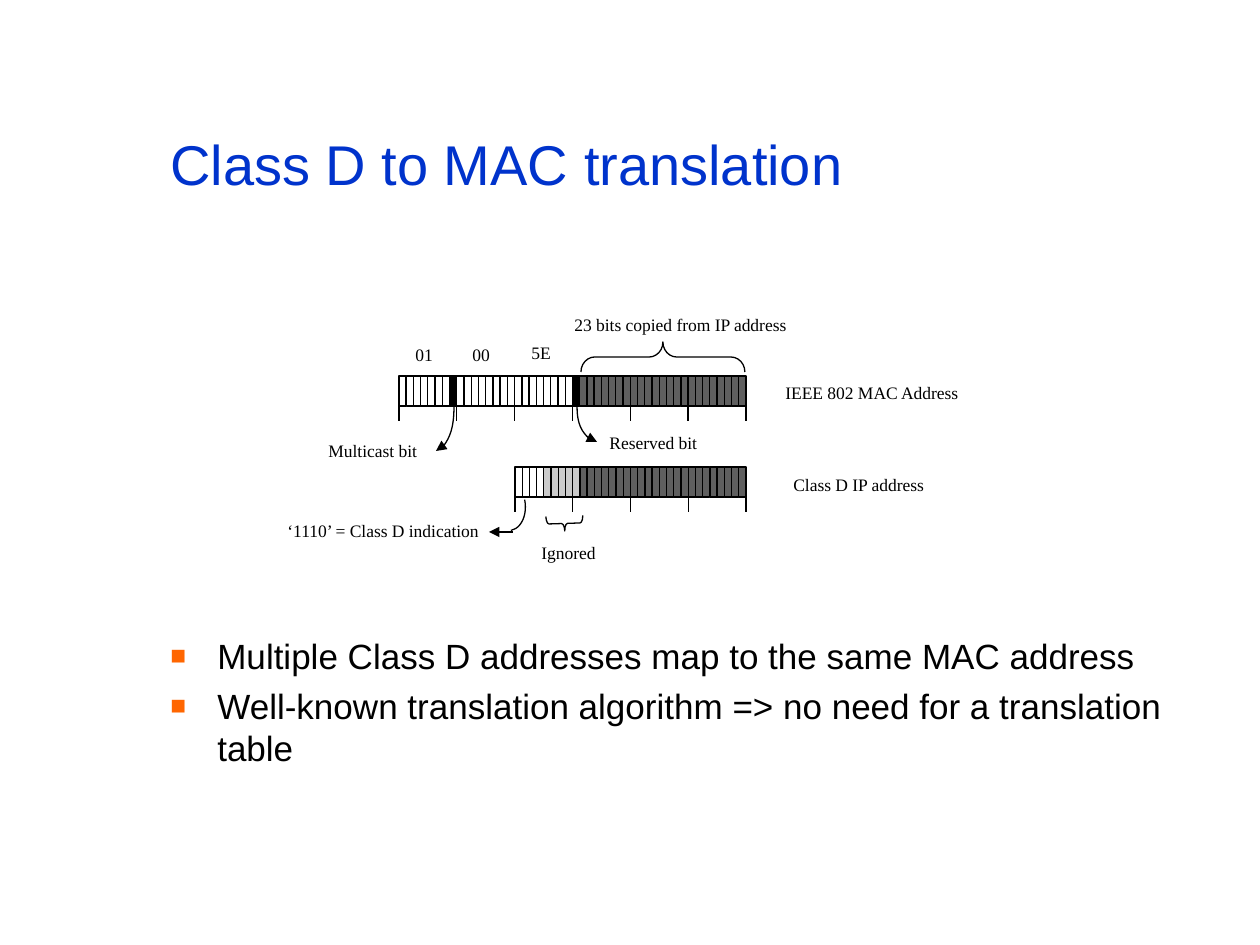
from lxml import etree
from pptx import Presentation
from pptx import util as u
from pptx.dml.color import RGBColor
from pptx.enum import shapes, text
from pptx.oxml.ns import qn

SCALE = 914400 / 126
BLACK, DARK, LIGHT = "000000", "5F5F5F", "CBCBCB"
LABEL = {"name": "Times New Roman", "size": u.Pt(10)}
TITLE = {"name": "Arial", "size": u.Pt(32)}
BODY = {"name": "Arial", "size": u.Pt(20)}
BULLET_PARAGRAPH = {"space_before": u.Pt(5), "line_spacing": u.Pt(24)}


def px(n):
    return u.Emu(round(n * SCALE))


def rgb(value):
    return RGBColor.from_string(value)


def apply(target, values):
    for key, value in values.items():
        setattr(target, key, value)


class Canvas:
    line_width = u.Pt(0.75)

    def __init__(self, s):
        self.s = s

    def stroke(self, sp):
        sp.line.color.rgb = rgb(BLACK)
        sp.line.width = self.line_width

    def shape(self, kind, x, y, w, h, fill=None, rotation=0, adjust=()):
        sp = self.s.shapes.add_shape(kind, px(x), px(y), px(w), px(h))
        sp.shadow.inherit = False
        sp.rotation = rotation
        if fill:
            sp.fill.solid()
            sp.fill.fore_color.rgb = rgb(fill)
        else:
            sp.fill.background()
        self.stroke(sp)
        for i, value in enumerate(adjust):
            sp.adjustments[i] = value
        return sp

    def bits(self, x, y, w, h, fills):
        pitch = w / len(fills)
        for i, fill in enumerate(fills):
            self.shape(shapes.MSO_SHAPE.RECTANGLE, x + i * pitch, y, pitch, h, fill)
        for i in range(0, len(fills) + 1, 8):
            tick = x + i * pitch
            self.line(tick, y + h, tick, y + h + 15)

    def line(self, x1, y1, x2, y2, arrow=False, kind=shapes.MSO_CONNECTOR.STRAIGHT):
        c = self.s.shapes.add_connector(kind, px(x1), px(y1), px(x2), px(y2))
        self.stroke(c)
        if arrow:
            etree.SubElement(c.line._get_or_add_ln(), qn("a:tailEnd"), type="triangle")
        etree.SubElement(c._element.spPr, qn("a:effectLst"))
        return c

    def curve(self, x1, y1, x2, y2):
        cx, cy = (x1 + x2) / 2, (y1 + y2) / 2
        side = 1 if x2 < x1 else -1
        a, b = side * (y2 - y1) / 2, abs(x2 - x1) / 2
        c = self.line(cx - a, cy - b, cx + a, cy + b, True, shapes.MSO_CONNECTOR.CURVE)
        spPr = c._element.spPr
        spPr.find(qn("a:prstGeom")).set("prst", "curvedConnector2")
        spPr.find(qn("a:xfrm")).set("rot", str((90 if side > 0 else 270) * 60000))

    def text(self, x, y, w, h, lines, font, color=BLACK, anchor=text.MSO_ANCHOR.TOP, bullet=None):
        tf = self.s.shapes.add_textbox(px(x), px(y), px(w), px(h)).text_frame
        apply(tf, {"word_wrap": True, "vertical_anchor": anchor})
        for i, line in enumerate(lines):
            p = tf.paragraphs[0] if i == 0 else tf.add_paragraph()
            if bullet:
                self.bullet(p, bullet)
                apply(p, BULLET_PARAGRAPH)
                if i == 0:
                    p.space_before = u.Pt(0)
            r = p.add_run()
            r.text = line
            apply(r.font, font)
            r.font.color.rgb = rgb(color)

    def bullet(self, p, color):
        pPr = p._p.get_or_add_pPr()
        indent = px(47)
        pPr.set("marL", str(indent))
        pPr.set("indent", str(-indent))
        clr = etree.SubElement(pPr, qn("a:buClr"))
        etree.SubElement(clr, qn("a:srgbClr"), val=color)
        etree.SubElement(pPr, qn("a:buSzPct"), val="75000")
        etree.SubElement(pPr, qn("a:buFont"), typeface="Arial")
        etree.SubElement(pPr, qn("a:buChar"), char="■")


def main():
    prs = Presentation()
    prs.slide_width, prs.slide_height = u.Inches(10), u.Inches(7.5)
    c = Canvas(prs.slides.add_slide(prs.slide_layouts[6]))

    c.text(158, 84, 1071, 158, ["Class D to MAC translation"], TITLE, "0033CC",
           text.MSO_ANCHOR.MIDDLE)
    c.text(158, 628, 1071, 212, [
        "Multiple Class D addresses map to the same MAC address",
        "Well-known translation algorithm => no need for a translation table",
    ], BODY, bullet="FF6600")

    c.bits(515, 467, 231, 30, [None] * 4 + [LIGHT] * 5 + [DARK] * 23)
    c.bits(399, 376, 347, 30, [None] * 7 + [BLACK] + [None] * 16 + [BLACK] + [DARK] * 23)

    for x, y, w, label in [
        (403, 338, 50, "01"),
        (460, 338, 50, "00"),
        (519, 336, 50, "5E"),
        (562, 308, 261, "23 bits copied from IP address"),
        (773, 376, 212, "IEEE 802 MAC Address"),
        (781, 468, 163, "Class D IP address"),
        (529, 536, 90, "Ignored"),
        (275, 514, 243, "‘1110’ = Class D indication"),
        (316, 434, 120, "Multicast bit"),
        (597, 426, 120, "Reserved bit"),
    ]:
        c.text(x, y, w, 34, [label], LABEL)

    brace = shapes.MSO_SHAPE.RIGHT_BRACE
    c.shape(brace, 648, 275, 30, 164, rotation=270, adjust=(0.46, 0.5))
    c.shape(brace, 557, 505, 15, 37, rotation=88.2, adjust=(0.2, 0.5))
    c.shape(shapes.MSO_SHAPE.ARC, 486, 476, 39, 55, rotation=168.8, adjust=(108, 162))
    c.line(513, 532, 489, 532, arrow=True)
    c.curve(454, 406, 436, 451)
    c.curve(577, 407, 597, 442)

    prs.save("out.pptx")


if __name__ == "__main__":
    main()
